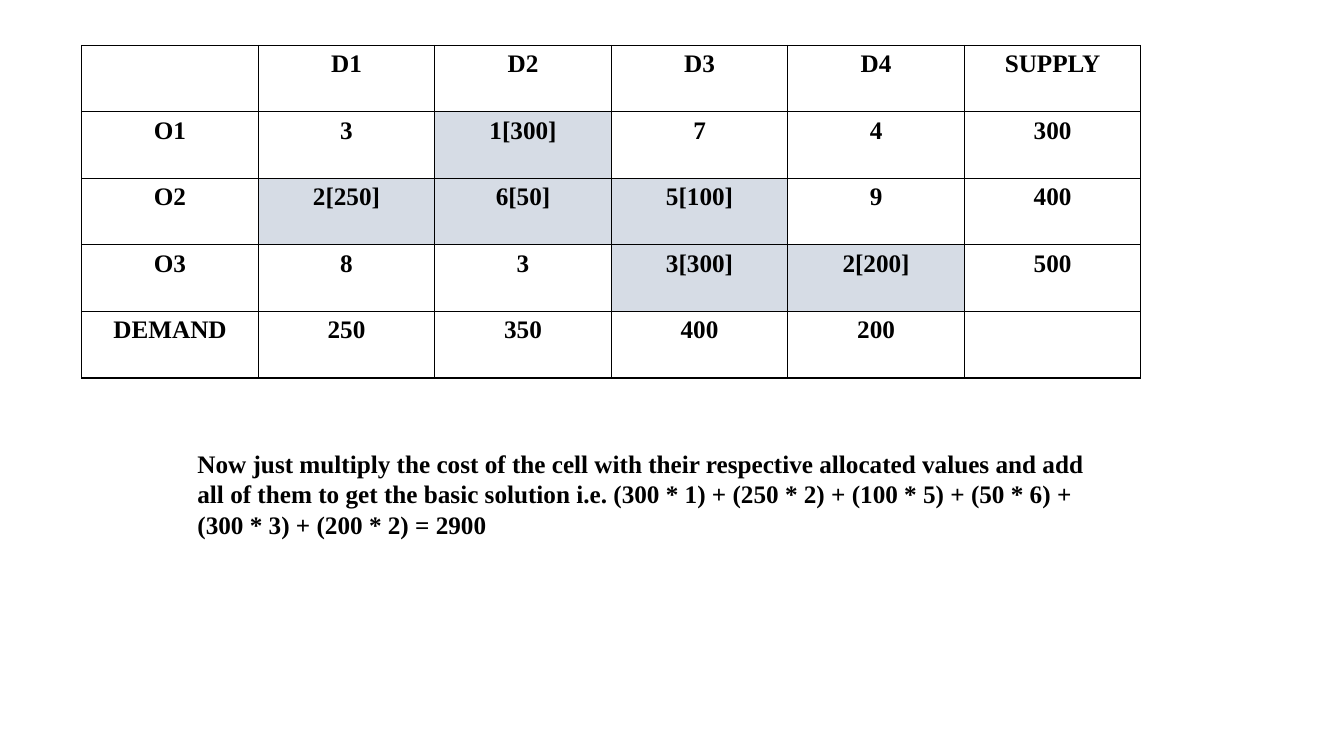
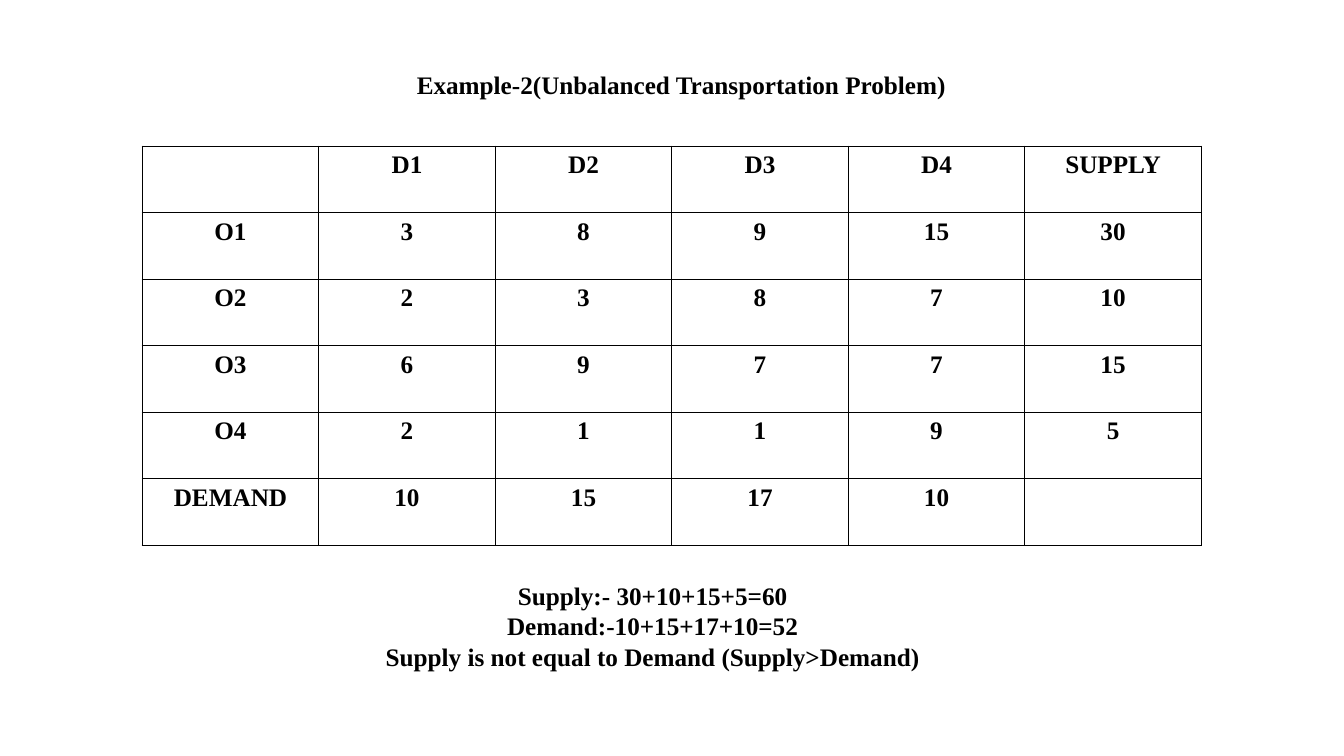
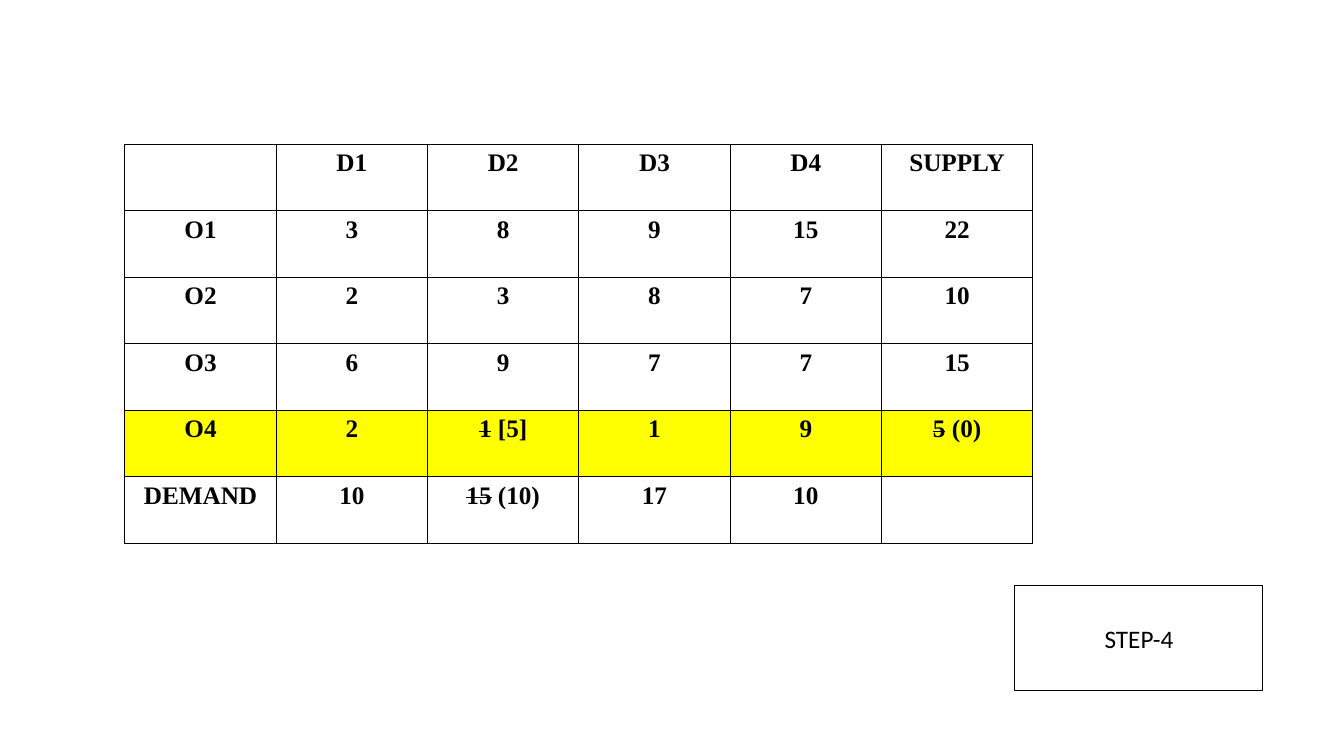
from lxml.etree import SubElement
from pptx import Presentation
from pptx.dml.color import RGBColor
from pptx.enum.shapes import MSO_SHAPE
from pptx.enum.text import MSO_ANCHOR, PP_ALIGN
from pptx.oxml.ns import qn
from pptx.util import Pt

BLACK = RGBColor(0x00, 0x00, 0x00)
ALLOCATED = RGBColor(0xD6, 0xDC, 0xE5)
EXHAUSTED = RGBColor(0xFF, 0xFF, 0x00)

SERIF = "Times New Roman"
SANS = "Calibri"
ROW_HEIGHT = 47.52
HEADER = ["", "D1", "D2", "D3", "D4", "SUPPLY"]


class Deck:
    def __init__(self):
        self.prs = Presentation()
        self.prs.slide_width, self.prs.slide_height = Pt(960), Pt(540)
        self.s = None

    def slide(self):
        self.s = self.prs.slides.add_slide(self.prs.slide_layouts[6])

    def paragraph(self, p, text, align=PP_ALIGN.CENTER, font=SERIF, bold=True):
        """Fill a paragraph; parts between tildes are struck through."""
        for i, part in enumerate(text.split("~")):
            if part:
                r = p.add_run()
                r.text = part
                if i % 2:
                    r._r.get_or_add_rPr().set("strike", "sngStrike")
        p.alignment = align
        p.font.name, p.font.size, p.font.bold = font, Pt(18), bold
        p.font.color.rgb = BLACK

    def text(self, box, lines, align=PP_ALIGN.CENTER, anchor=MSO_ANCHOR.TOP):
        tf = self.s.shapes.add_textbox(*map(Pt, box)).text_frame
        tf.word_wrap = True
        tf.vertical_anchor = anchor
        for i, line in enumerate(lines):
            p = tf.add_paragraph() if i else tf.paragraphs[0]
            self.paragraph(p, line, align)

    def step(self, box, label):
        sp = self.s.shapes.add_shape(MSO_SHAPE.RECTANGLE, *map(Pt, box))
        sp.shadow.inherit = False
        sp.fill.background()
        sp.line.color.rgb = BLACK
        sp.line.width = Pt(0.75)
        sp.text_frame.vertical_anchor = MSO_ANCHOR.MIDDLE
        self.paragraph(sp.text_frame.paragraphs[0], label, font=SANS, bold=False)

    def border(self, cell):
        tcPr = cell._tc.get_or_add_tcPr()
        for side in ("a:lnL", "a:lnR", "a:lnT", "a:lnB"):
            ln = SubElement(tcPr, qn(side), w=str(Pt(1)))
            fill = SubElement(ln, qn("a:solidFill"))
            SubElement(fill, qn("a:srgbClr"), val=str(BLACK))

    def cost_table(self, left, top, col_width, body, fills):
        """Add a cost table; fills maps (row, column) to a cell colour."""
        rows = [HEADER] + body
        frame = self.s.shapes.add_table(
            len(rows), len(HEADER), Pt(left), Pt(top),
            Pt(col_width * len(HEADER)), Pt(ROW_HEIGHT * len(rows)))
        table = frame.table
        table.first_row = table.horz_banding = False
        for col in table.columns:
            col.width = Pt(col_width)
        for i, row in enumerate(rows):
            table.rows[i].height = Pt(ROW_HEIGHT)
            for j, value in enumerate(row):
                cell = table.cell(i, j)
                cell.margin_left = cell.margin_right = Pt(7.6)
                cell.margin_top = cell.margin_bottom = Pt(3.6)
                self.border(cell)
                if (i, j) in fills:
                    cell.fill.solid()
                    cell.fill.fore_color.rgb = fills[i, j]
                else:
                    cell.fill.background()
                self.paragraph(cell.text_frame.paragraphs[0], value)


def basic_solution(deck):
    deck.slide()
    allocated = [(1, 2), (2, 1), (2, 2), (2, 3), (3, 3), (3, 4)]
    deck.cost_table(58.4, 32.4, 126.1, [
        ["O1", "3", "1[300]", "7", "4", "300"],
        ["O2", "2[250]", "6[50]", "5[100]", "9", "400"],
        ["O3", "8", "3", "3[300]", "2[200]", "500"],
        ["DEMAND", "250", "350", "400", "200", ""],
    ], dict.fromkeys(allocated, ALLOCATED))
    deck.text((133.9, 316.8, 658, 72.7), [
        "Now just multiply the cost of the cell with their respective "
        "allocated values and add all of them to get the basic solution "
        "i.e. (300 * 1) + (250 * 2) + (100 * 5) + (50 * 6) + (300 * 3) + "
        "(200 * 2) = 2900"], PP_ALIGN.LEFT)


def unbalanced_problem(deck):
    deck.slide()
    deck.cost_table(101.6, 104.4, 126.1, [
        ["O1", "3", "8", "9", "15", "30"],
        ["O2", "2", "3", "8", "7", "10"],
        ["O3", "6", "9", "7", "7", "15"],
        ["O4", "2", "1", "1", "9", "5"],
        ["DEMAND", "10", "15", "17", "10", ""],
    ], {})
    deck.text((158.4, 38.2, 656.6, 44.6),
              ["Example-2(Unbalanced Transportation Problem)"],
              anchor=MSO_ANCHOR.MIDDLE)
    deck.text((226.1, 411.1, 480.2, 72.7), [
        "Supply:- 30+10+15+5=60",
        "Demand:-10+15+17+10=52",
        "Supply is not equal to Demand (Supply>Demand)"])


def step_four(deck):
    deck.slide()
    exhausted_row = [(4, j) for j in range(len(HEADER))]
    deck.cost_table(89.2, 103, 108.1, [
        ["O1", "3", "8", "9", "15", "22"],
        ["O2", "2", "3", "8", "7", "10"],
        ["O3", "6", "9", "7", "7", "15"],
        ["O4", "2", "~1~ [5]", "1", "9", "~5~ (0)"],
        ["DEMAND", "10", "~15~ (10)", "17", "10", ""],
    ], dict.fromkeys(exhausted_row, EXHAUSTED))
    deck.step((725, 418.3, 177.1, 74.9), "STEP-4")


def main():
    deck = Deck()
    basic_solution(deck)
    unbalanced_problem(deck)
    step_four(deck)
    deck.prs.save("out.pptx")


if __name__ == "__main__":
    main()
